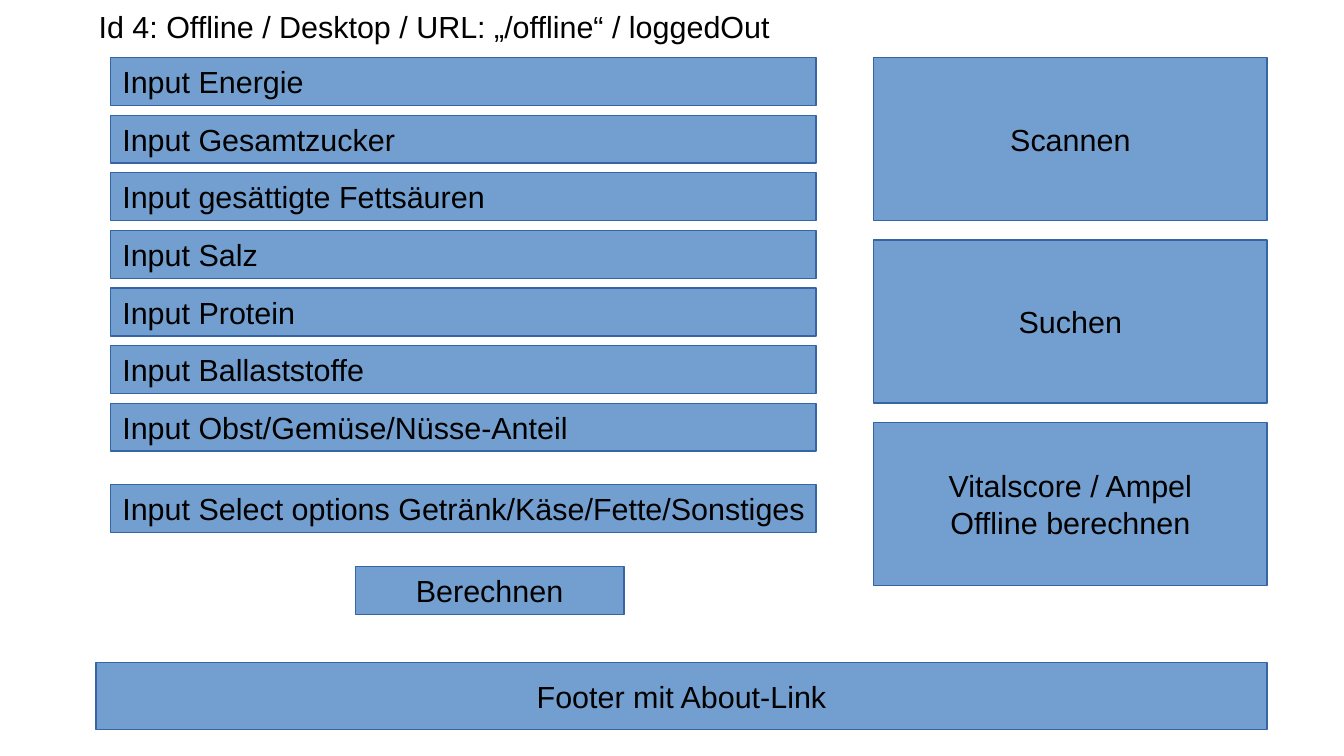
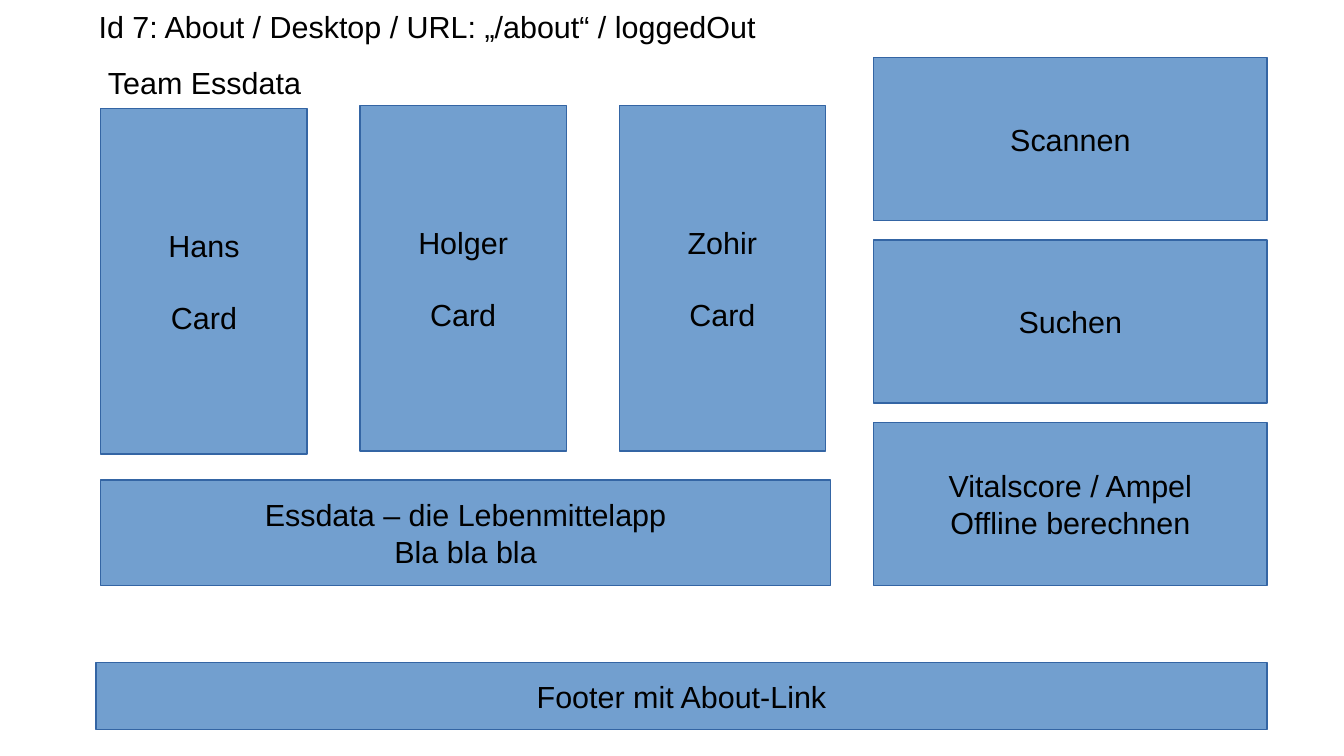
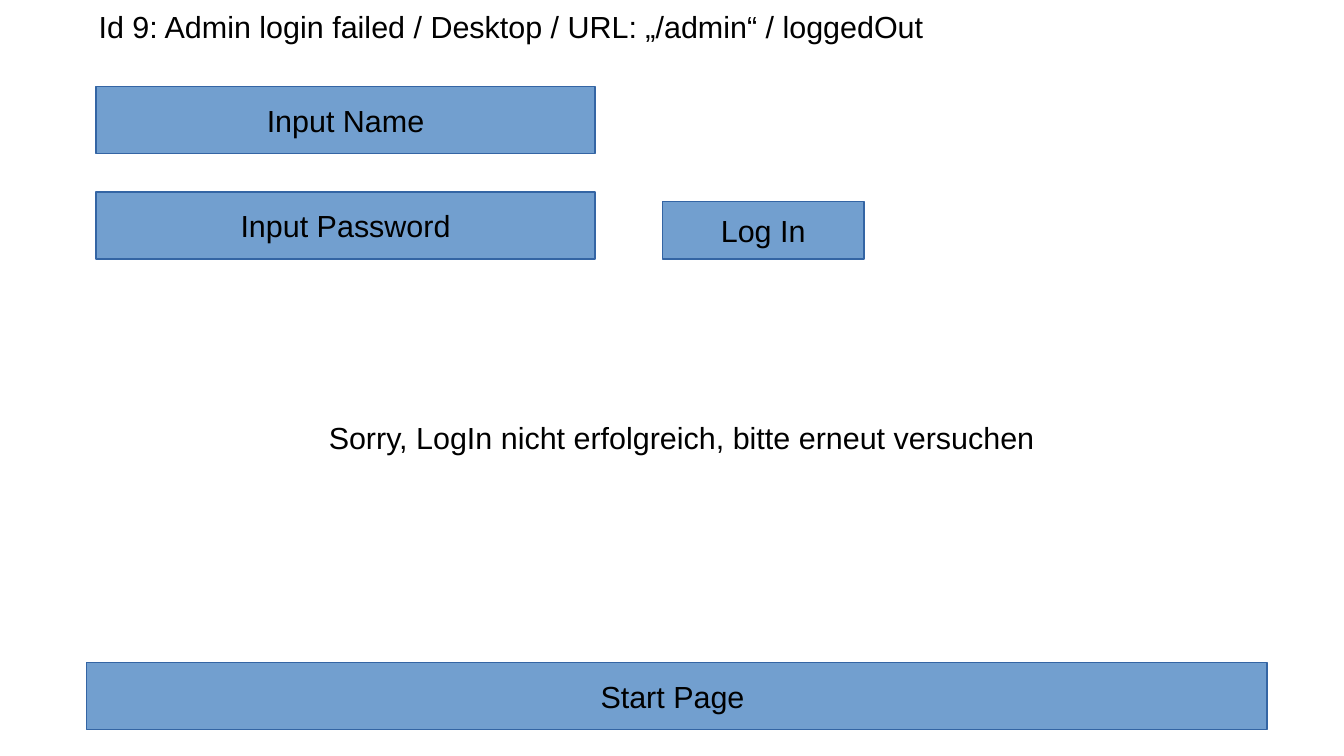
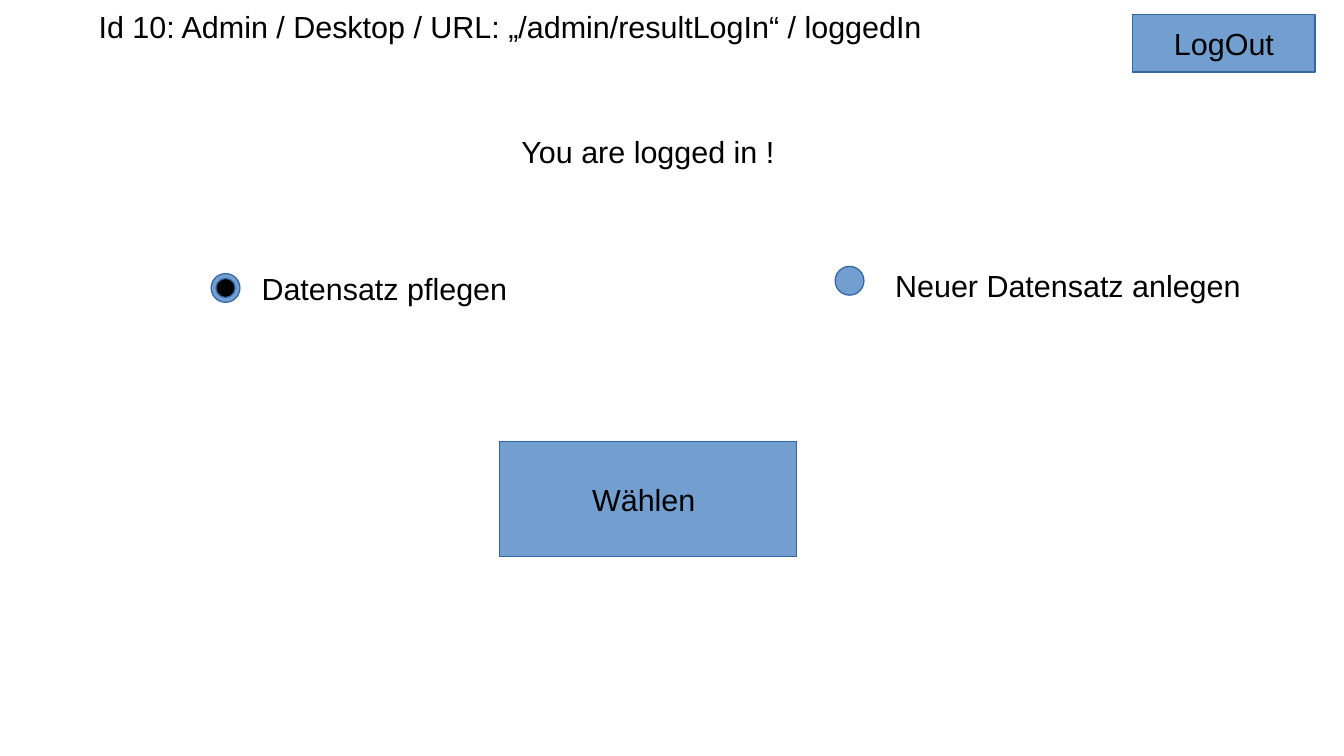
import dataclasses

import pptx
import pptx.dml.color
import pptx.enum.shapes
import pptx.enum.text
import pptx.presentation
import pptx.shapes.autoshape
import pptx.slide
import pptx.text.text
import pptx.util

Cm = pptx.util.Cm
Pt = pptx.util.Pt
RGBColor = pptx.dml.color.RGBColor
Align = pptx.enum.text.PP_ALIGN
Anchor = pptx.enum.text.MSO_ANCHOR
Shape = pptx.enum.shapes.MSO_SHAPE

BLUE = RGBColor(0x72, 0x9F, 0xCF)
DARK_BLUE = RGBColor(0x34, 0x65, 0xA4)
BLACK = RGBColor(0x00, 0x00, 0x00)
FONT = "Arial"
FONT_SIZE = Pt(18)
CARD_GAP = Pt(20.7)
TITLE_ONLY = 5

SIDE_BUTTONS = ("Scannen", "Suchen", "Vitalscore / Ampel\nOffline berechnen")
NUTRIENTS = (
    "Energie",
    "Gesamtzucker",
    "gesättigte Fettsäuren",
    "Salz",
    "Protein",
    "Ballaststoffe",
    "Obst/Gemüse/Nüsse-Anteil",
)


@dataclasses.dataclass(frozen=True)
class Box:
    text: str
    left: float
    top: float
    width: float
    height: float
    align: Align = Align.CENTER
    gap: pptx.util.Length = Pt(0)

    def area(self) -> tuple[pptx.util.Length, ...]:
        return Cm(self.left), Cm(self.top), Cm(self.width), Cm(self.height)


@dataclasses.dataclass(frozen=True)
class Member:
    name: str
    top: float


MEMBERS = (Member("Hans", 2.26), Member("Holger", 2.2), Member("Zohir", 2.2))
FOOTER = Box("Footer mit About-Link", 2, 13.8, 24.4, 1.4)


def write(tf: pptx.text.text.TextFrame, box: Box) -> None:
    tf.text = box.text
    for i, p in enumerate(tf.paragraphs):
        p.alignment = box.align
        if i:
            p.space_before = box.gap
        for r in p.runs:
            r.font.name = FONT
            r.font.size = FONT_SIZE
            r.font.color.rgb = BLACK


def add_shape(
    s: pptx.slide.Slide, kind: Shape, box: Box, fill: RGBColor = BLUE
) -> pptx.shapes.autoshape.Shape:
    sp = s.shapes.add_shape(kind, *box.area())
    sp.shadow.inherit = False
    sp.fill.solid()
    sp.fill.fore_color.rgb = fill
    sp.line.color.rgb = DARK_BLUE
    sp.line.width = Pt(0)
    return sp


def add_box(s: pptx.slide.Slide, box: Box) -> None:
    tf = add_shape(s, Shape.RECTANGLE, box).text_frame
    tf.word_wrap = False
    tf.vertical_anchor = Anchor.MIDDLE
    write(tf, box)


def add_circle(
    s: pptx.slide.Slide, left: float, top: float, size: float, fill: RGBColor = BLUE
) -> None:
    add_shape(s, Shape.OVAL, Box("", left, top, size, size), fill)


def add_text(s: pptx.slide.Slide, box: Box) -> None:
    tf = s.shapes.add_textbox(*box.area()).text_frame
    tf.word_wrap = True
    write(tf, box)


def add_slide(prs: pptx.presentation.Presentation, title: str) -> pptx.slide.Slide:
    s = prs.slides.add_slide(prs.slide_layouts[TITLE_ONLY])
    box = Box(title, 1.8, 0.03, 24.6, 1.55, Align.LEFT)
    sp = s.shapes.title
    sp.left, sp.top, sp.width, sp.height = box.area()
    tf = sp.text_frame
    tf.auto_size = pptx.enum.text.MSO_AUTO_SIZE.NONE
    tf.vertical_anchor = Anchor.TOP
    write(tf, box)
    return s


def add_page_frame(s: pptx.slide.Slide) -> None:
    for i, text in enumerate(SIDE_BUTTONS):
        add_box(s, Box(text, 18.2, 1.2 + 3.8 * i, 8.2, 3.4))
    add_box(s, FOOTER)


def build_offline(prs: pptx.presentation.Presentation) -> None:
    s = add_slide(prs, "Id 4: Offline / Desktop / URL: „/offline“ / loggedOut")
    add_page_frame(s)
    fields = [(name, 1.2 + 1.2 * i) for i, name in enumerate(NUTRIENTS)]
    fields.append(("Select options Getränk/Käse/Fette/Sonstiges", 10.1))
    for name, top in fields:
        add_box(s, Box(f"Input {name}", 2.3, top, 14.7, 1, Align.LEFT))
    add_box(s, Box("Berechnen", 7.4, 11.8, 5.6, 1))


def build_about(prs: pptx.presentation.Presentation) -> None:
    s = add_slide(prs, "Id 7: About / Desktop / URL: „/about“ / loggedOut")
    add_page_frame(s)
    add_text(s, Box("Team Essdata", 2, 1.2, 7.4, 2.26, Align.LEFT))
    for i, member in enumerate(MEMBERS):
        text = f"{member.name}\nCard"
        add_box(s, Box(text, 2.1 + 5.4 * i, member.top, 4.3, 7.2, gap=CARD_GAP))
    add_box(s, Box("Essdata – die Lebenmittelapp\nBla bla bla", 2.1, 10, 15.2, 2.2))


def build_login_failed(prs: pptx.presentation.Presentation) -> None:
    s = add_slide(prs, "Id 9: Admin login failed / Desktop / URL: „/admin“ / loggedOut")
    for i, name in enumerate(("Name", "Password")):
        add_box(s, Box(f"Input {name}", 2, 1.8 + 2.2 * i, 10.4, 1.4))
    add_box(s, Box("Log In", 13.8, 4.2, 4.2, 1.2))
    message = "Sorry, LogIn nicht erfolgreich, bitte erneut versuchen"
    add_text(s, Box(message, 6.6, 8.6, 16.4, 1.7, Align.LEFT))
    add_box(s, Box("Start Page ", 1.8, 13.8, 24.6, 1.4))


def build_logged_in(prs: pptx.presentation.Presentation) -> None:
    s = add_slide(prs, "Id 10: Admin / Desktop / URL: „/admin/resultLogIn“ / loggedIn")
    add_box(s, Box("LogOut", 23.6, 0.3, 3.8, 1.2))
    add_text(s, Box("You are logged in !", 7.2, 2.65, 12.6, 1.55))
    add_circle(s, 4.4, 5.7, 0.6)
    add_circle(s, 4.5, 5.8, 0.4, BLACK)
    add_text(s, Box("Datensatz pflegen", 5.2, 5.5, 6.2, 3, Align.LEFT))
    add_circle(s, 17.4, 5.55, 0.6)
    add_text(s, Box("Neuer Datensatz anlegen", 18.4, 5.43, 8, 3.7, Align.LEFT))
    add_box(s, Box("Wählen ", 10.4, 9.2, 6.2, 2.4))


def main() -> None:
    prs = pptx.Presentation()
    prs.slide_width, prs.slide_height = Cm(28), Cm(15.75)
    for build in (build_offline, build_about, build_login_failed, build_logged_in):
        build(prs)
    prs.save("out.pptx")


if __name__ == "__main__":
    main()
